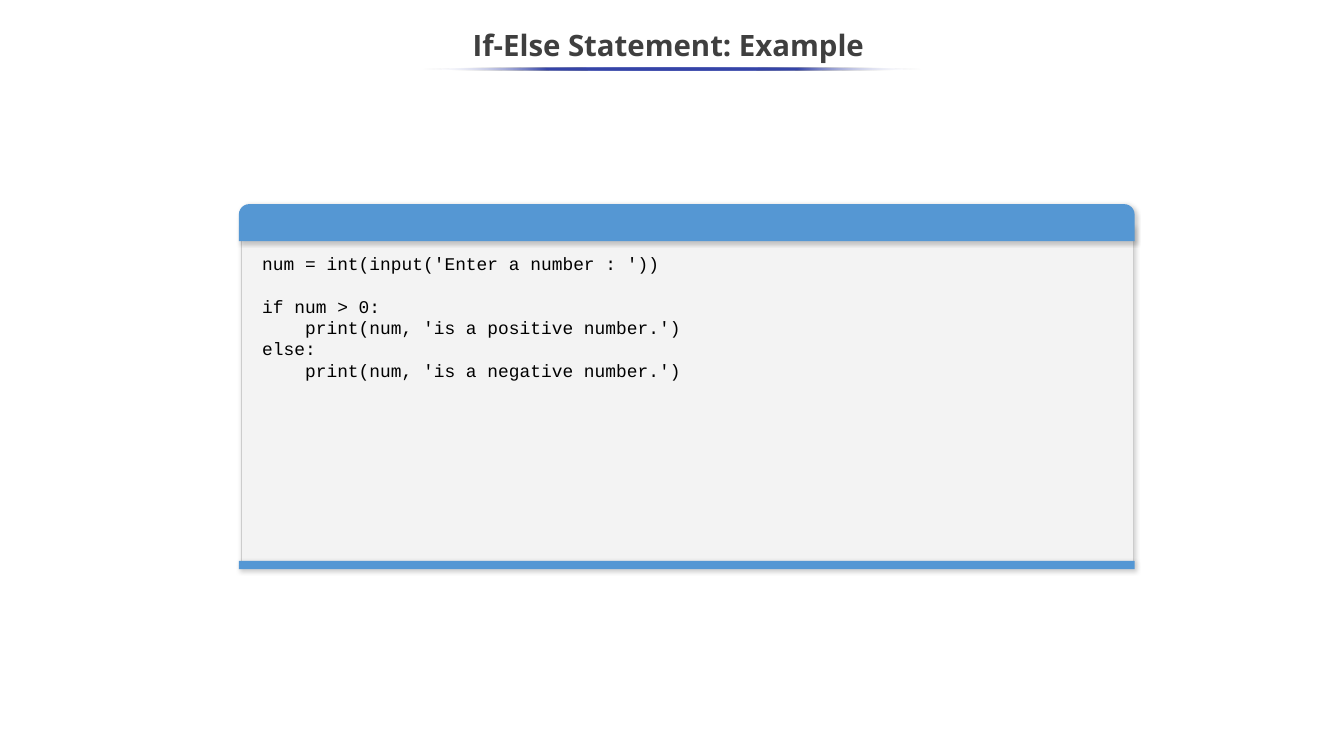
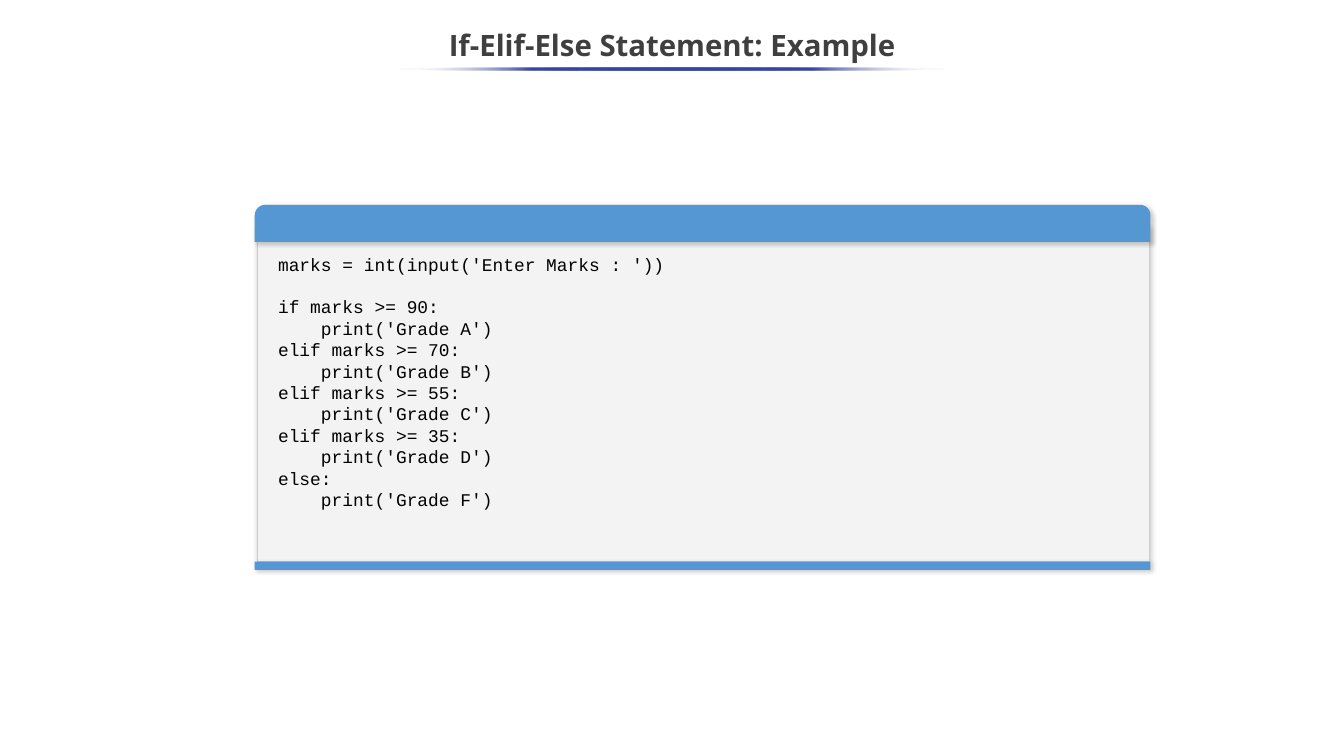
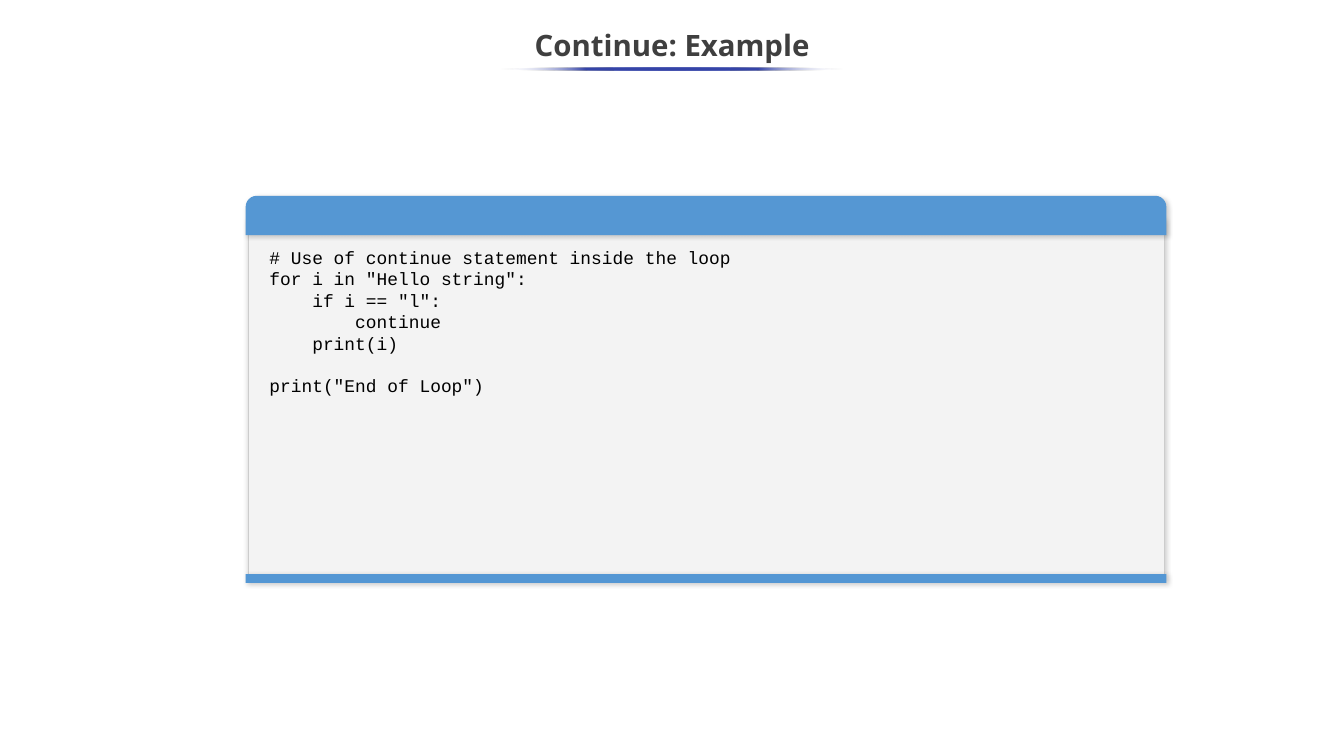
"""Build three slides that each show a Python code example in a card."""
from dataclasses import dataclass

import lxml.etree
import pptx
import pptx.dml.color
import pptx.enum.shapes
import pptx.enum.text
import pptx.oxml.ns
import pptx.util

SHAPE = pptx.enum.shapes.MSO_SHAPE
Inches, Pt = pptx.util.Inches, pptx.util.Pt
qn = pptx.oxml.ns.qn


@dataclass(frozen=True)
class Theme:
    """Colours, fonts and sizes shared by the slides."""
    width: float = 17.78
    height: float = 10
    title_font: str = "Open Sans"
    code_font: str = "Courier New"
    title_size: float = 28
    code_size: float = 17
    code_pitch: float = 20.4
    title: str = "3F3F3F"
    rule: str = "3645A9"
    paper: str = "FFFFFF"
    body: str = "F3F3F3"
    border: str = "CCCCCC"
    header: str = "5597D3"
    footer: str = "5497D4"
    ink: str = "000000"


THEME = Theme()
CARD_SIZE = (11.85, 4.83)
CARD_PARTS = {
    "body": (0.03, 0.3, 11.8, 4.42),
    "footer": (0, 4.72, 11.85, 0.11),
    "header": (0, 0, 11.85, 0.49),
    "code": (0.21, 0.54, 10.95, 3.6),
}

SLIDES = [
    ("If-Else Statement: Example ", 6.6, (3.16, 2.7, 11.85, 4.83), """\
num = int(input('Enter a number : '))

if num > 0:
    print(num, 'is a positive number.')
else:
    print(num, 'is a negative number.')"""),
    ("If-Elif-Else Statement: Example", 7.38, (3.37, 2.71, 11.85, 4.83), """\
marks = int(input('Enter Marks : '))

if marks >= 90:
    print('Grade A')
elif marks >= 70:
    print('Grade B')
elif marks >= 55:
    print('Grade C')
elif marks >= 35:
    print('Grade D')
else:
    print('Grade F')"""),
    ("Continue: Example", 4.54, (3.25, 2.59, 12.18, 5.12), """\
# Use of continue statement inside the loop
for i in "Hello string":
    if i == "l":
        continue
    print(i)

print("End of Loop")"""),
]


def rgb(code):
    """Return the colour for a hex code."""
    return pptx.dml.color.RGBColor.from_string(code)


def add_element(parent, tag, **attributes):
    """Append a drawing element with attributes to its parent."""
    element = lxml.etree.SubElement(parent, qn(tag))
    for name, value in attributes.items():
        element.set(name, str(value))
    return element


def add_colour(parent, code, alpha):
    """Append a colour with an opacity in percent."""
    colour = add_element(parent, "a:srgbClr", val=code)
    if alpha < 100:
        add_element(colour, "a:alpha", val=alpha * 1000)


def add_plain_shape(shapes, kind, box, fill=None):
    """Add a shape without line or shadow."""
    sp = shapes.add_shape(kind, *map(Inches, box))
    sp.shadow.inherit = False
    sp.line.fill.background()
    if fill:
        sp.fill.solid()
        sp.fill.fore_color.rgb = rgb(fill)
    return sp


def add_panel(shapes, kind, box, fill):
    """Add a filled shape with the soft card shadow."""
    sp = add_plain_shape(shapes, kind, box, fill)
    effects = sp._element.spPr.find(qn("a:effectLst"))
    shadow = add_element(effects, "a:outerShdw", blurRad=Pt(4.5), dist=Pt(1.5),
                         dir=47 * 60000, algn="tl", rotWithShape=0)
    add_colour(shadow, THEME.ink, 20)
    return sp


def add_text(shapes, box, margins):
    """Add a wrapping text box and return its frame."""
    tf = shapes.add_textbox(*map(Inches, box)).text_frame
    tf.word_wrap = True
    tf.margin_left = tf.margin_right = Inches(margins[0])
    tf.margin_top = tf.margin_bottom = Inches(margins[1])
    return tf


def style(p, font, size, colour, bold=False):
    """Set the font of a paragraph."""
    p.font.name, p.font.size, p.font.bold = font, Pt(size), bold
    p.font.color.rgb = rgb(colour)


def add_title(s, text, rule_width):
    """Add the centred title and the fading rule below it."""
    tf = add_text(s.shapes, (0, 0.25, THEME.width, 0.75), (0.1, 0.05))
    tf.vertical_anchor = pptx.enum.text.MSO_ANCHOR.MIDDLE
    p = tf.paragraphs[0]
    p.text = text
    p.alignment = pptx.enum.text.PP_ALIGN.CENTER
    p.line_spacing = 0.9
    style(p, THEME.title_font, THEME.title_size, THEME.title, True)

    left = (THEME.width - rule_width) / 2
    rule = add_plain_shape(s.shapes, SHAPE.OVAL, (left, 0.89, rule_width, 0.04))
    rule.fill.gradient()
    rule.fill.gradient_angle = 180
    stops = rule._element.spPr.find(qn("a:gradFill")).find(qn("a:gsLst"))
    for stop in list(stops):
        stops.remove(stop)
    for position in range(0, 101, 25):
        edge = position in (0, 100)
        stop = add_element(stops, "a:gs", pos=position * 1000)
        add_colour(stop, THEME.paper if edge else THEME.rule, 0 if edge else 100)


def add_code(shapes, box, code):
    """Add code lines, with spacing where the code has an empty line."""
    tf = add_text(shapes, box, (0.1, 0.1))
    p, gap = tf.paragraphs[0], 0
    for number, line in enumerate(code.splitlines()):
        if not line:
            gap += THEME.code_pitch
            continue
        if number:
            p = tf.add_paragraph()
        p.text = line
        p.line_spacing = Pt(THEME.code_pitch)
        p.space_before = Pt(gap)
        style(p, THEME.code_font, THEME.code_size, THEME.ink)
        gap = 0


def add_card(s, frame, code):
    """Add a grouped code card scaled to its frame."""
    left, top, width, height = frame
    kx, ky = width / CARD_SIZE[0], height / CARD_SIZE[1]
    boxes = {name: (left + x * kx, top + y * ky, w * kx, h * ky)
             for name, (x, y, w, h) in CARD_PARTS.items()}
    shapes = s.shapes.add_group_shape().shapes
    body = add_panel(shapes, SHAPE.RECTANGLE, boxes["body"], THEME.body)
    body.line.color.rgb = rgb(THEME.border)
    body.line.width = Pt(0.75)
    add_panel(shapes, SHAPE.RECTANGLE, boxes["footer"], THEME.footer)
    header = add_panel(shapes, SHAPE.ROUND_2_SAME_RECTANGLE, boxes["header"], THEME.header)
    header.adjustments[0], header.adjustments[1] = 0.28, 0
    add_code(shapes, boxes["code"], code)


def main():
    """Build and save the presentation."""
    prs = pptx.Presentation()
    prs.slide_width, prs.slide_height = Inches(THEME.width), Inches(THEME.height)
    for title, rule_width, frame, code in SLIDES:
        s = prs.slides.add_slide(prs.slide_layouts[6])
        add_title(s, title, rule_width)
        add_card(s, frame, code)
    prs.save("out.pptx")


if __name__ == "__main__":
    main()
